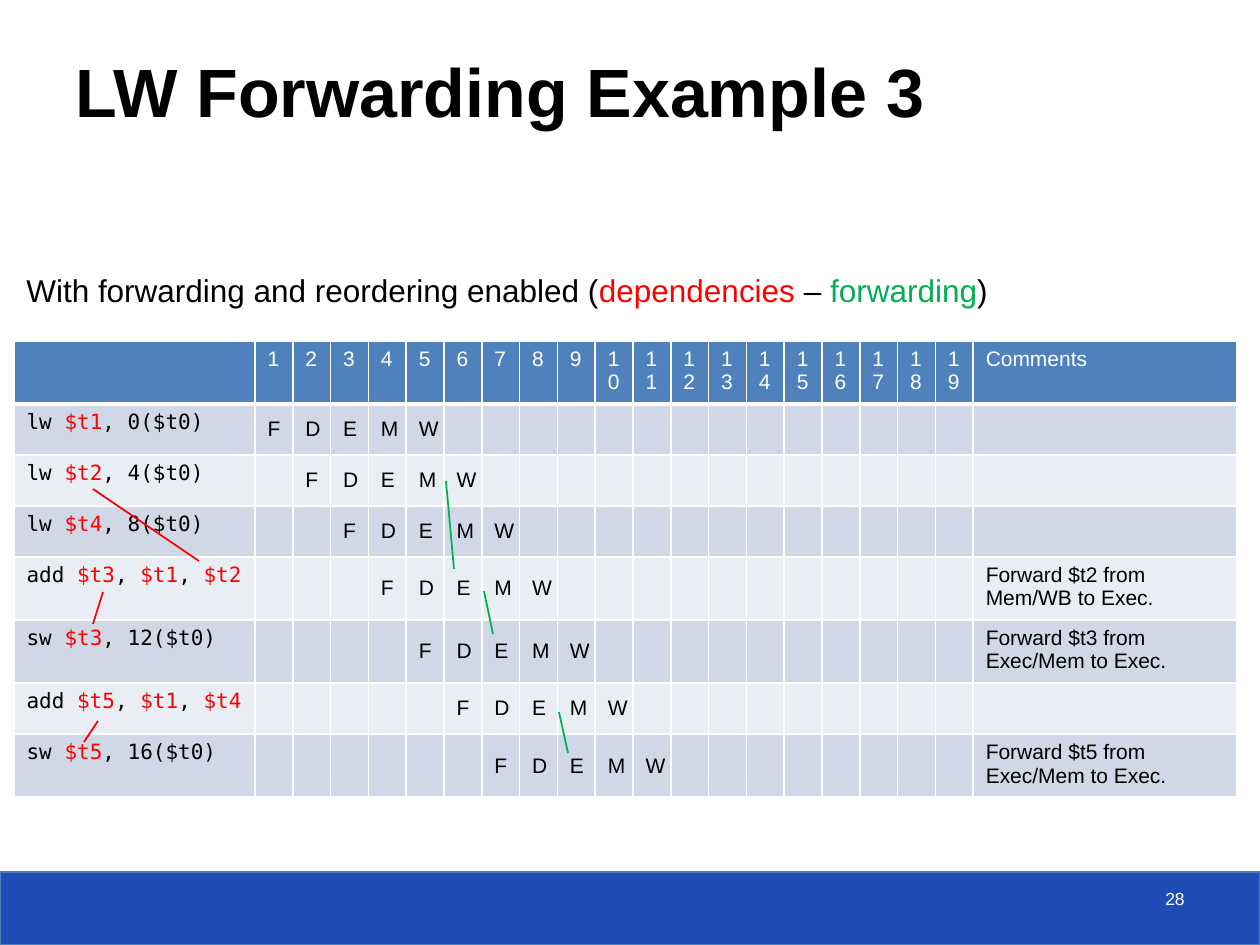
from lxml import etree
from pptx import Presentation
from pptx.dml.color import RGBColor
from pptx.enum.shapes import MSO_CONNECTOR, MSO_SHAPE
from pptx.enum.text import MSO_ANCHOR, MSO_AUTO_SIZE, PP_ALIGN
from pptx.oxml.ns import qn
from pptx.util import Pt

STRAIGHT = MSO_CONNECTOR.STRAIGHT
RECTANGLE = MSO_SHAPE.RECTANGLE
TOP, MIDDLE, BOTTOM = MSO_ANCHOR.TOP, MSO_ANCHOR.MIDDLE, MSO_ANCHOR.BOTTOM
LEFT, CENTER, RIGHT = PP_ALIGN.LEFT, PP_ALIGN.CENTER, PP_ALIGN.RIGHT
FIT_SHAPE = MSO_AUTO_SIZE.SHAPE_TO_FIT_TEXT

SCALE = 914400 / 126
SANS, MONO = "Arial", "DejaVu Sans Mono"
COLORS = {
    "white": "FFFFFF", "black": "000000", "red": "FF0000", "green": "00B050",
    "header": "4F81BD", "odd": "D0D8E8", "even": "E9EDF4",
    "footer": "204DB5", "footer_line": "4B7EBC",
}
CYCLES = 19
STAGES = "FDEMW"
INSTRUCTIONS = [
    ("lw *$t1*, 0($t0)", ""),
    ("lw *$t2*, 4($t0)", ""),
    ("lw *$t4*, 8($t0)", ""),
    ("add *$t3*, *$t1*, *$t2*", "Forward $t2 from Mem/WB to Exec."),
    ("sw *$t3*, 12($t0)", "Forward $t3 from Exec/Mem to Exec."),
    ("add *$t5*, *$t1*, *$t4*", ""),
    ("sw *$t5*, 16($t0)", "Forward $t5 from Exec/Mem to Exec."),
]
FORWARDINGS = [(432, 140, 440, 228), (470, 250, 479, 293), (545, 371, 554, 412)]
DEPENDENCIES = [(79, 148, 185, 220), (89, 251, 79, 283), (84, 380, 70, 401)]


def px(length):
    """Turn a length in px into EMU."""
    return round(length * SCALE)


def color(name):
    """Return the named colour."""
    return RGBColor.from_string(COLORS[name])


def write(frame, spans, size=12, font=SANS, bold=False, align=LEFT, anchor=TOP):
    """Write (text, colour name) spans as one paragraph."""
    frame.vertical_anchor = anchor
    para = frame.paragraphs[0]
    para.alignment = align
    for text, name in spans:
        span = para.add_run()
        span.text = text
        span.font.size = Pt(size)
        span.font.name = font
        span.font.bold = bold
        span.font.color.rgb = color(name)


def add_text(page, box, spans, wrap=True, **style):
    """Add a text box in the given box and return it."""
    shape = page.shapes.add_textbox(*map(px, box))
    shape.text_frame.word_wrap = wrap
    write(shape.text_frame, spans, **style)
    return shape


def add_footer(page, box):
    """Add the blue band with the page number."""
    left, top, width, height = box
    band = page.shapes.add_shape(RECTANGLE, *map(px, box))
    band.shadow.inherit = False
    band.fill.solid()
    band.fill.fore_color.rgb = color("footer")
    band.line.color.rgb = color("footer_line")
    band.line.width = Pt(0.75)
    number_box = (left + width - 357, top + 10, 294, 42)
    add_text(page, number_box, [("28", "white")], size=10, align=RIGHT)


def add_title(page, box):
    """Add the title on a translucent white ground."""
    title = add_text(page, box, [("LW Forwarding Example 3", "black")],
                     size=39, bold=True, anchor=BOTTOM)
    title.fill.solid()
    title.fill.fore_color.rgb = color("white")
    tone = title.fill._xPr.find(qn("a:solidFill"))[0]
    etree.SubElement(tone, qn("a:alpha"), val="70000")


def add_caption(page, box):
    """Add the caption that explains the line colours."""
    spans = [("With forwarding and reordering enabled (", "black"),
             ("dependencies", "red"), (" – ", "black"),
             ("forwarding", "green"), (")", "black")]
    caption = add_text(page, box, spans, wrap=False, size=18)
    caption.text_frame.auto_size = FIT_SHAPE


def paint_cell(cell, fill, bottom=1):
    """Give a cell white borders and a solid fill."""
    properties = cell._tc.get_or_add_tcPr()
    for side, width in (("L", 1), ("R", 1), ("T", 1), ("B", bottom)):
        border = etree.SubElement(properties, qn(f"a:ln{side}"), w=str(Pt(width)))
        solid = etree.SubElement(border, qn("a:solidFill"))
        etree.SubElement(solid, qn("a:srgbClr"), val=COLORS["white"])
    cell.fill.solid()
    cell.fill.fore_color.rgb = color(fill)


def write_cell(cell, spans, **style):
    """Write spans in a cell."""
    anchor = style.pop("anchor", TOP)
    write(cell.text_frame, spans, **style)
    cell.vertical_anchor = anchor


def add_pipeline(page, box):
    """Add the table of instructions, cycles and comments."""
    frame = page.shapes.add_table(len(INSTRUCTIONS) + 1, CYCLES + 2, *map(px, box))
    table = frame.table
    table.horz_banding = False
    for row in table.rows:
        row.height = px(51)
    for column in table.columns:
        column.width = px(719 / CYCLES)
    table.columns[0].width = px(241)
    table.columns[CYCLES + 1].width = px(264)
    frame.height = px(box[3])

    headings = ["", *map(str, range(1, CYCLES + 1)), "Comments"]
    for column, heading in enumerate(headings):
        cell = table.cell(0, column)
        paint_cell(cell, "header", bottom=3)
        if heading:
            write_cell(cell, [(heading, "white")])

    for row, (instruction, comment) in enumerate(INSTRUCTIONS, 1):
        for column in range(CYCLES + 2):
            paint_cell(table.cell(row, column), "odd" if row % 2 else "even")
        spans = [(part, "red" if index % 2 else "black")
                 for index, part in enumerate(instruction.split("*")) if part]
        write_cell(table.cell(row, 0), spans, font=MONO)
        for cycle, stage in enumerate(STAGES, row):
            write_cell(table.cell(row, cycle), [(stage, "black")],
                       align=CENTER, anchor=MIDDLE)
        if comment:
            write_cell(table.cell(row, CYCLES + 1), [(comment, "black")])


def add_links(page, box, links, name):
    """Draw lines of one colour, placed from the corner of the box."""
    left, top = box[:2]
    for x1, y1, x2, y2 in links:
        ends = (left + x1, top + y1, left + x2, top + y2)
        link = page.shapes.add_connector(STRAIGHT, *map(px, ends))
        link.line.color.rgb = color(name)
        link.line.width = Pt(1)
        etree.SubElement(link._element.spPr, qn("a:effectLst"))


def main():
    """Build the deck and save it."""
    deck = Presentation()
    deck.slide_width, deck.slide_height = px(1260), px(945)
    page = deck.slides.add_slide(deck.slide_layouts[6])
    table_box = (14, 341, 1224, 456)
    add_footer(page, (0, 872, 1260, 73))
    add_pipeline(page, table_box)
    add_caption(page, (14, 265, 995, 50))
    add_links(page, table_box, FORWARDINGS, "green")
    add_links(page, table_box, DEPENDENCIES, "red")
    add_title(page, (63, 32, 1170, 105))
    deck.save("out.pptx")


if __name__ == "__main__":
    main()
